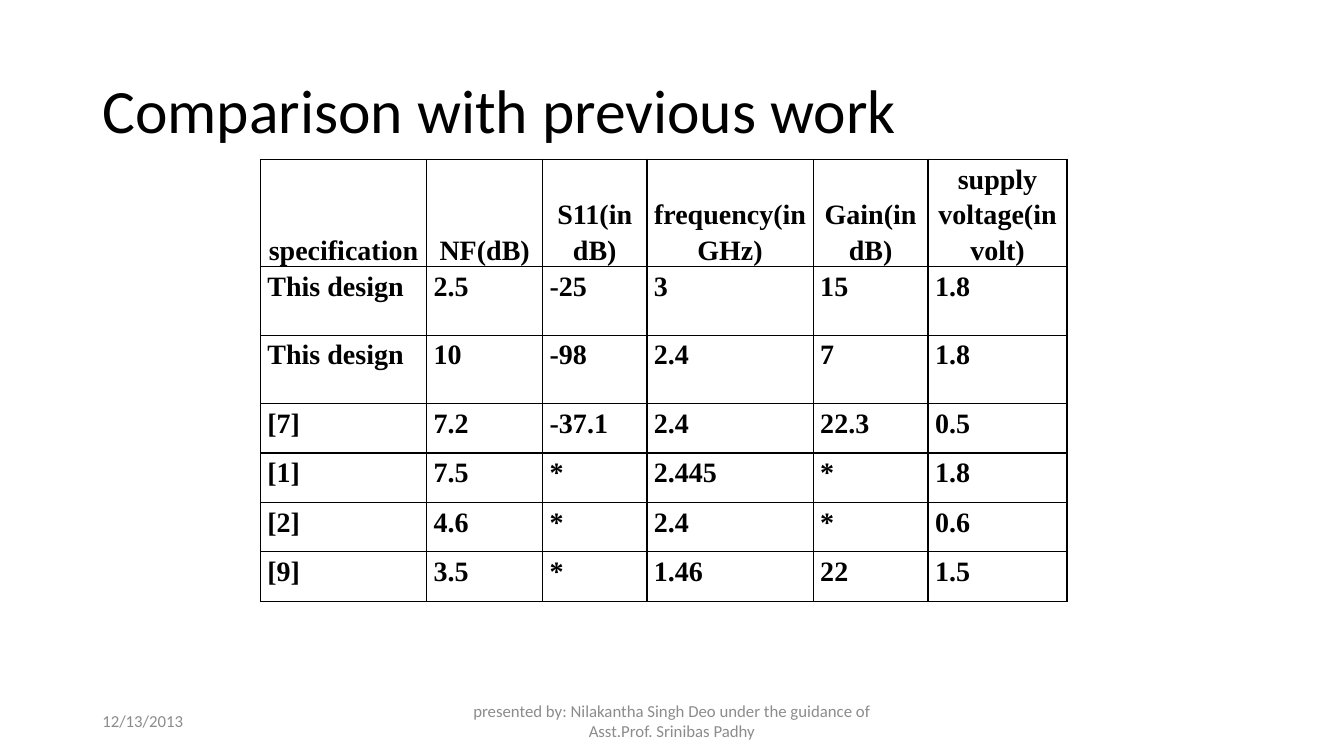
from typing import NamedTuple

from lxml.etree import SubElement
from pptx import Presentation
from pptx.dml.color import RGBColor
from pptx.enum.text import MSO_ANCHOR as Anchor, MSO_AUTO_SIZE as AutoSize, PP_ALIGN as Align
from pptx.oxml.ns import qn
from pptx.util import Pt

BLACK = RGBColor(0x00, 0x00, 0x00)
GRAY = RGBColor(0x8C, 0x8C, 0x8C)


class Box(NamedTuple):
    left: float
    top: float
    width: float
    height: float


class TextStyle(NamedTuple):
    font: str
    size: float
    color: RGBColor
    bold: bool = False
    align: Align = Align.LEFT
    anchor: Anchor = Anchor.MIDDLE
    spacing: float = 1.0


class FooterText(NamedTuple):
    text: str
    box: Box
    style: TextStyle


TITLE_BOX = Box(66, 28.8, 828, 104.4)
TITLE_STYLE = TextStyle("Calibri", 44, BLACK, spacing=0.9)
FOOTER_STYLE = TextStyle("Calibri", 12, GRAY)
HEADER_STYLE = TextStyle("Times New Roman", 20, BLACK, True, Align.CENTER, Anchor.BOTTOM, 1.15)
CELL_STYLE = HEADER_STYLE._replace(align=Align.JUSTIFY, anchor=Anchor.TOP)

FOOTERS = [
    FooterText("12/13/2013", Box(66, 500.5, 216, 28.8), FOOTER_STYLE),
    FooterText(
        "presented by: Nilakantha Singh Deo under the guidance of Asst.Prof. Srinibas Padhy",
        Box(318, 500.5, 324, 28.8),
        FOOTER_STYLE._replace(align=Align.CENTER),
    ),
]

TABLE_LEFT, TABLE_TOP = 186, 113.8
COLUMN_WIDTHS = [118.8, 82.8, 74.5, 118.8, 82, 99.3]
ROW_HEIGHTS = [73.4, 49, 49] + [35.3] * 4
COMPARISON = [
    ["specification", "NF(dB)", "S11(in dB)", "frequency(in GHz)", "Gain(in dB)",
     "supply voltage(in volt)"],
    ["This design", "2.5", "-25", "3", "15", "1.8"],
    ["This design", "10", "-98", "2.4", "7", "1.8"],
    ["[7]", "7.2", "-37.1", "2.4", "22.3", "0.5"],
    ["[1]", "7.5", "*", "2.445", "*", "1.8"],
    ["[2]", "4.6", "*", "2.4", "*", "0.6"],
    ["[9]", "3.5", "*", "1.46", "22", "1.5"],
]


def set_text(tf, text: str, style: TextStyle) -> None:
    p = tf.paragraphs[0]
    p.alignment = style.align
    p.line_spacing = style.spacing
    r = p.add_run()
    r.text = text
    formats = {"name": style.font, "size": Pt(style.size), "bold": style.bold}
    for name, value in formats.items():
        setattr(r.font, name, value)
    r.font.color.rgb = style.color


def fill_frame(sp, text: str, style: TextStyle) -> None:
    tf = sp.text_frame
    formats = {"word_wrap": True, "auto_size": AutoSize.NONE, "vertical_anchor": style.anchor}
    for name, value in formats.items():
        setattr(tf, name, value)
    set_text(tf, text, style)


def add_title(s, text: str) -> None:
    sp = s.shapes.title
    for name, value in TITLE_BOX._asdict().items():
        setattr(sp, name, Pt(value))
    fill_frame(sp, text, TITLE_STYLE)


def add_footer(s, footer: FooterText) -> None:
    sp = s.shapes.add_textbox(*map(Pt, footer.box))
    fill_frame(sp, footer.text, footer.style)


def add_borders(cell, color: RGBColor, width: float) -> None:
    tc_pr = cell._tc.get_or_add_tcPr()
    for side in ("a:lnL", "a:lnR", "a:lnT", "a:lnB"):
        line = SubElement(tc_pr, qn(side), w=str(Pt(width)))
        fill = SubElement(line, qn("a:solidFill"))
        SubElement(fill, qn("a:srgbClr"), val=str(color))


def format_cell(cell, text: str, style: TextStyle) -> None:
    formats = {
        "margin_left": Pt(5), "margin_right": Pt(5), "margin_top": 0, "margin_bottom": 0,
        "vertical_anchor": style.anchor,
    }
    for name, value in formats.items():
        setattr(cell, name, value)
    add_borders(cell, BLACK, 1)
    cell.fill.background()
    set_text(cell.text_frame, text, style)


def add_comparison(s) -> None:
    box = Box(TABLE_LEFT, TABLE_TOP, sum(COLUMN_WIDTHS), sum(ROW_HEIGHTS))
    table = s.shapes.add_table(len(ROW_HEIGHTS), len(COLUMN_WIDTHS), *map(Pt, box)).table
    table.first_row = table.horz_banding = False
    for column, width in zip(table.columns, COLUMN_WIDTHS):
        column.width = Pt(width)
    for i, (row, height, texts) in enumerate(zip(table.rows, ROW_HEIGHTS, COMPARISON)):
        row.height = Pt(height)
        for cell, text in zip(row.cells, texts):
            format_cell(cell, text, CELL_STYLE if i else HEADER_STYLE)


def main() -> None:
    prs = Presentation()
    prs.slide_width, prs.slide_height = Pt(960), Pt(540)
    s = prs.slides.add_slide(prs.slide_layouts.get_by_name("Title Only"))
    add_title(s, "Comparison with previous work")
    for footer in FOOTERS:
        add_footer(s, footer)
    add_comparison(s)
    prs.save("out.pptx")


if __name__ == "__main__":
    main()
